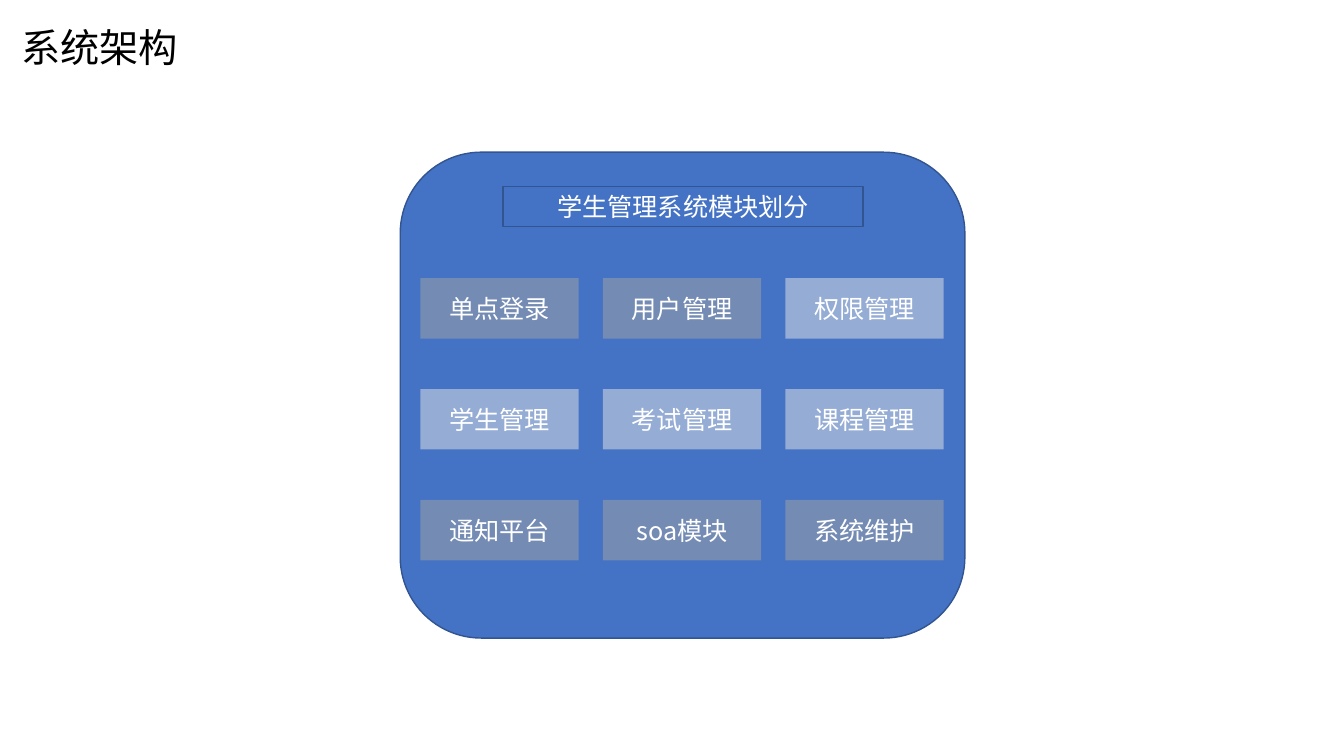
from lxml import etree
from pptx import Presentation
from pptx import util as u
from pptx.dml.color import RGBColor
from pptx.enum import shapes, text
from pptx.oxml.ns import qn

FONT = "Noto Sans CJK SC"
BLUE, EDGE, GREY, PALE, WHITE = "4472C4", "325491", "A5A5A5", "E7E6E6", "FFFFFF"
MODULES = [
    [("单点登录", GREY), ("用户管理", GREY), ("权限管理", PALE)],
    [("学生管理", PALE), ("考试管理", PALE), ("课程管理", PALE)],
    [("通知平台", GREY), ("soa模块", GREY), ("系统维护", GREY)],
]


def paint(target, color):
    """Set a solid colour on a fill."""
    target.solid()
    target.fore_color.rgb = RGBColor.from_string(color)


def place(shape, box):
    """Move a shape to a box of left, top, width and height in inches."""
    shape.left, shape.top, shape.width, shape.height = map(u.Inches, box)


def write(shape, words, size, color, align):
    """Write one vertically centred line of text into a shape."""
    frame = shape.text_frame
    frame.word_wrap = True
    frame.auto_size = text.MSO_AUTO_SIZE.NONE
    frame.vertical_anchor = text.MSO_ANCHOR.MIDDLE
    para = frame.paragraphs[0]
    para.alignment = align
    span = para.add_run()
    span.text = words
    span.font.size = u.Pt(size)
    span.font.name = FONT
    paint(span.font.fill, color)
    etree.SubElement(span.font._element, qn("a:ea"), typeface=FONT)
    return para


def add_block(page, kind, box, fill, edge=None, words=None, opacity=100):
    """Add a filled shape with an optional outline, label and opacity."""
    block = page.shapes.add_shape(kind, *map(u.Inches, box))
    block.shadow.inherit = False
    paint(block.fill, fill)
    if opacity < 100:
        tint = block.fill._xPr.find(qn("a:solidFill"))[0]
        etree.SubElement(tint, qn("a:alpha"), val=str(opacity * 1000))
    if edge:
        paint(block.line.fill, edge)
        block.line.width = u.Pt(1)
    else:
        block.line.fill.background()
    if words:
        write(block, words, 18, WHITE, text.PP_ALIGN.CENTER)


def add_title(page, box, words):
    """Fill the title placeholder."""
    title = page.shapes.title
    place(title, box)
    para = write(title, words, 28, "000000", text.PP_ALIGN.LEFT)
    para.line_spacing = 0.9


def add_module_grid(page, box):
    """Lay out the module blocks in equal steps from the corner of the box."""
    left, top, width, height = box
    block_width, block_height = 1.57, 0.6
    step_x = (width - block_width) / (len(MODULES[0]) - 1)
    step_y = (height - block_height) / (len(MODULES) - 1)
    for row, modules in enumerate(MODULES):
        for column, (name, fill) in enumerate(modules):
            spot = (left + column * step_x, top + row * step_y, block_width, block_height)
            add_block(page, shapes.MSO_SHAPE.RECTANGLE, spot, fill, words=name, opacity=50)


def add_system_panel(page, box):
    """Draw the rounded panel with its heading and module grid."""
    left, top, width, height = box
    add_block(page, shapes.MSO_SHAPE.ROUNDED_RECTANGLE, box, BLUE, EDGE)
    heading = (left + 1.02, top + 0.34, 3.57, 0.4)
    add_block(page, shapes.MSO_SHAPE.RECTANGLE, heading, BLUE, EDGE, "学生管理系统模块划分")
    add_module_grid(page, (left + 0.2, top + 1.25, width - 0.41, height - 2.02))


def main():
    """Build and save the deck."""
    deck = Presentation()
    deck.slide_width, deck.slide_height = u.Inches(13.33), u.Inches(7.5)
    page = deck.slides.add_slide(deck.slide_layouts[5])
    paint(page.background.fill, WHITE)
    add_system_panel(page, (3.97, 1.51, 5.6, 4.82))
    add_title(page, (0.11, 0.1, 9.76, 0.78), "系统架构")
    deck.save("out.pptx")


main()
